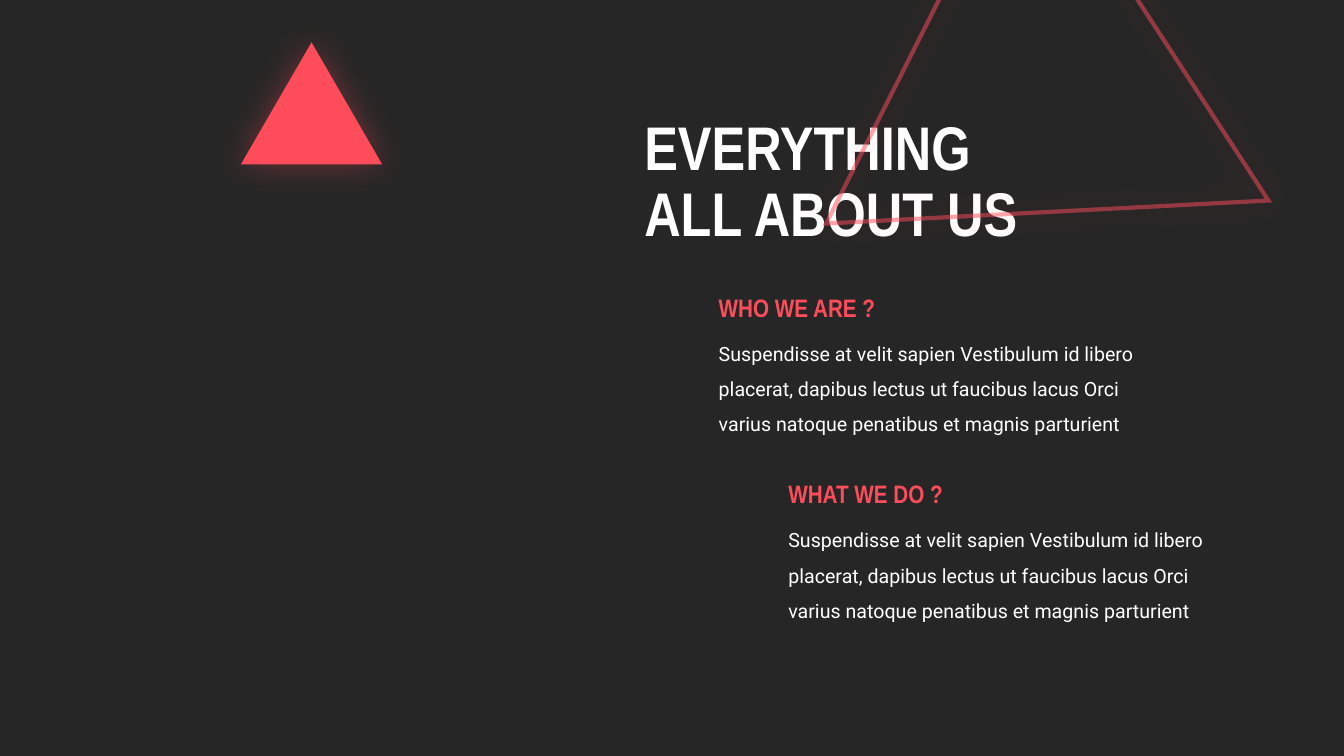
import pptx
import pptx.util
import pptx.dml.color
import pptx.enum.shapes
import pptx.enum.text
import pptx.oxml.ns
from lxml import etree

Inches, Pt = pptx.util.Inches, pptx.util.Pt
COLORS = {"background": "262626", "accent": "FF4C5B", "text": "FFFFFF"}
HEADING_FONT, BODY_FONT = "Arial Narrow", "Roboto"

# Content
TITLE = "EVERYTHING\nALL ABOUT US"
ABOUT = (
    "Suspendisse at velit sapien Vestibulum id libero placerat, dapibus lectus "
    "ut faucibus lacus Orci varius natoque penatibus et magnis parturient"
)
SECTIONS = [  # heading, body, left, top
    ("WHO WE ARE ?", ABOUT, 7.03, 2.85),
    ("WHAT WE DO ?", ABOUT, 7.72, 4.7),
]
BODY_OFFSET = 0.375


def rgb(name):
    return pptx.dml.color.RGBColor.from_string(COLORS[name])


def write(frame, text, font=BODY_FONT, size=14, color="text", bold=False, spacing=1.0):
    frame.word_wrap = True
    paragraph = frame.paragraphs[0]
    paragraph.text = text.replace("\n", "\v")
    paragraph.alignment = pptx.enum.text.PP_ALIGN.LEFT
    paragraph.line_spacing = spacing
    for run in paragraph.runs:
        run.font.name, run.font.size, run.font.bold = font, Pt(size), bold
        run.font.color.rgb = rgb(color)


def add_xml(parent, tag, **attributes):
    return etree.SubElement(parent, pptx.oxml.ns.qn(tag), **attributes)


def add_triangle(shapes, left, top, width, height):
    triangle = shapes.add_shape(
        pptx.enum.shapes.MSO_SHAPE.ISOSCELES_TRIANGLE,
        Inches(left), Inches(top), Inches(width), Inches(height))
    triangle.shadow.inherit = False
    return triangle


def add_glow(triangle):
    effects = triangle.element.spPr.find(pptx.oxml.ns.qn("a:effectLst"))
    shadow = add_xml(effects, "a:outerShdw", blurRad=str(Pt(25)), dist="0", dir="0",
                     algn="ctr", rotWithShape="0")
    color = add_xml(shadow, "a:srgbClr", val=COLORS["accent"])
    add_xml(color, "a:alpha", val="35000")


def main():
    deck = pptx.Presentation()
    deck.slide_width, deck.slide_height = Inches(13.33), Inches(7.5)
    slide = deck.slides.add_slide(deck.slide_layouts[5])
    slide.background.fill.solid()
    slide.background.fill.fore_color.rgb = rgb("background")

    # Title
    title = slide.shapes.title
    title.left, title.top = Inches(6.29), Inches(1.03)
    title.width, title.height = Inches(5.62), Inches(1.58)
    write(title.text_frame, TITLE, HEADING_FONT, 44, bold=True, spacing=0.9)
    title.text_frame.auto_size = pptx.enum.text.MSO_AUTO_SIZE.NONE
    title.text_frame.vertical_anchor = pptx.enum.text.MSO_ANCHOR.MIDDLE

    # Outlined triangle, half transparent
    outlined = add_triangle(slide.shapes, 7.58, -0.72, 4.41, 3.8)
    outlined.rotation = 236.9
    outlined.fill.background()
    outlined.line.color.rgb = rgb("accent")
    outlined.line.width = Pt(3)
    outline = outlined.line._get_or_add_ln()
    add_xml(outline.find(".//" + pptx.oxml.ns.qn("a:srgbClr")), "a:alpha", val="50000")
    add_xml(outline, "a:miter", lim="800000")
    add_glow(outlined)

    # Solid triangle
    solid = add_triangle(slide.shapes, 2.39, 0.42, 1.4, 1.21)
    solid.fill.solid()
    solid.fill.fore_color.rgb = rgb("accent")
    solid.line.fill.background()
    add_glow(solid)

    # Sections
    for heading, body, left, top in SECTIONS:
        body_box = slide.shapes.add_textbox(
            Inches(left), Inches(top + BODY_OFFSET), Inches(4.51), Inches(1.12))
        write(body_box.text_frame, body, spacing=1.5)
        heading_box = slide.shapes.add_textbox(
            Inches(left), Inches(top), Inches(2.45), Inches(0.4))
        write(heading_box.text_frame, heading, HEADING_FONT, 18, "accent", bold=True)
        for box in (body_box, heading_box):
            box.text_frame.auto_size = pptx.enum.text.MSO_AUTO_SIZE.SHAPE_TO_FIT_TEXT

    deck.save("out.pptx")


if __name__ == "__main__":
    main()
